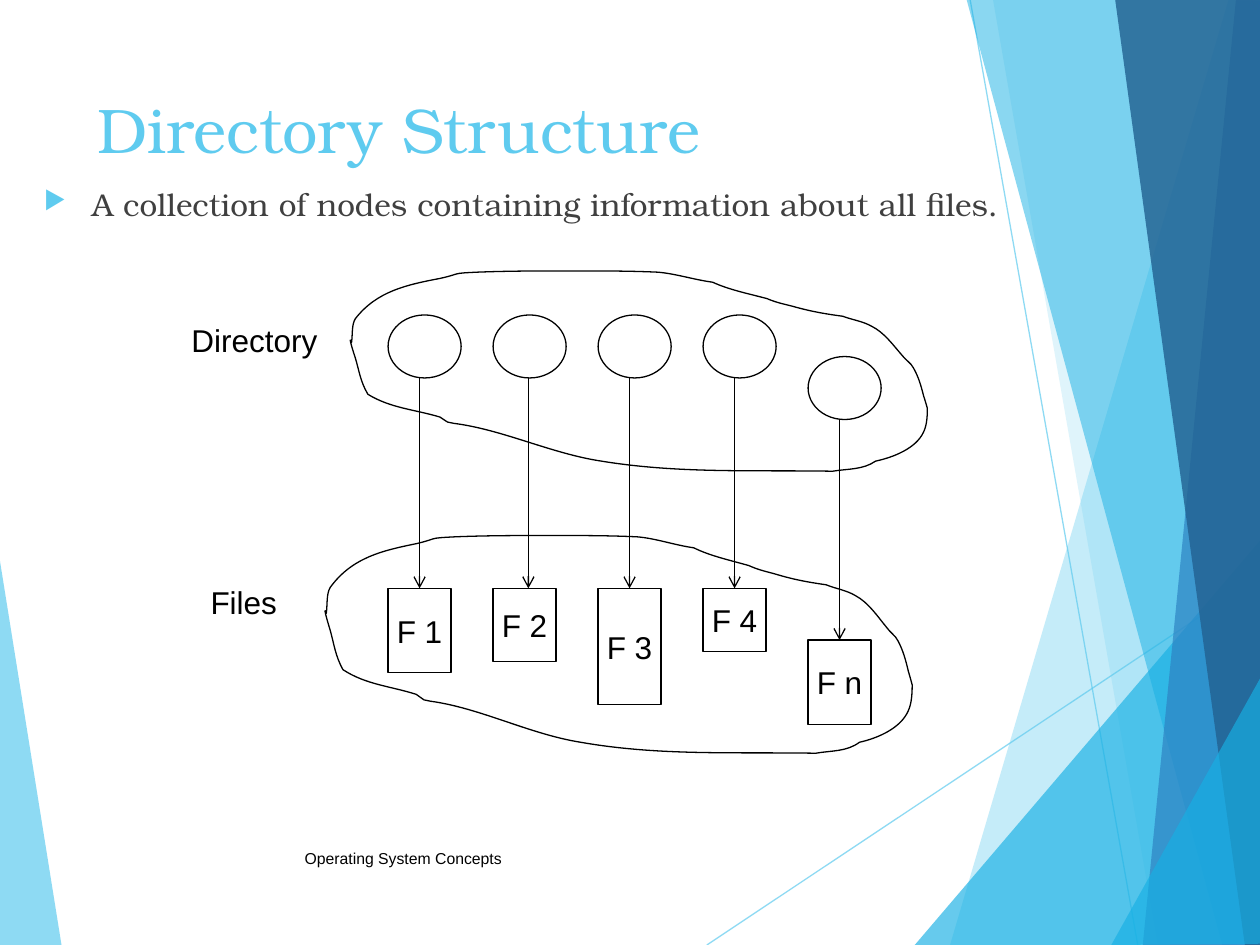
from lxml import etree
from pptx import Presentation
from pptx.dml.color import RGBColor
from pptx.enum.shapes import MSO_CONNECTOR, MSO_SHAPE
from pptx.enum.text import MSO_ANCHOR, PP_ALIGN
from pptx.oxml.ns import qn
from pptx.util import Inches, Pt

LINE = MSO_CONNECTOR.STRAIGHT
OVAL, RECT = MSO_SHAPE.OVAL, MSO_SHAPE.RECTANGLE
TOP, MIDDLE = MSO_ANCHOR.TOP, MSO_ANCHOR.MIDDLE
LEFT, CENTER = PP_ALIGN.LEFT, PP_ALIGN.CENTER
SERIF, SANS = "TeX Gyre Bonum", "Arial"
COLORS = {"sky": "5FCBEF", "cyan": "17B0E4", "blue": "2E83C3", "navy": "236292",
          "gray": "404040", "black": "000000", "white": "FFFFFF"}

# Facets from back to front: colour, opacity in percent, corners
WEDGE = ("sky", 70, [(-0.01, 4.39), (0.49, 7.51), (-0.01, 7.5)])
FACETS = [
    ("sky", 36, [(9.75, 0), (7.54, 7.5), (10.02, 7.51), (10.01, 0.01)]),
    ("sky", 20, [(7.88, -0.01), (9.19, 7.5), (10.01, 7.5), (10.01, -0.01)]),
    ("cyan", 66, [(7.26, 7.5), (10, 4.29), (10.01, 7.5)]),
    ("cyan", 50, [(7.67, -0.01), (9.7, 7.5), (10.01, 7.49), (10.01, -0.01)]),
    ("blue", 70, [(9.81, -0.01), (9.07, 7.5), (10.01, 7.5), (10, -0.01)]),
    ("navy", 82, [(8.85, -0.01), (9.88, 7.5), (10.02, 7.5), (10, -0.01)]),
    ("cyan", 66, [(8.82, 7.5), (10.02, 5.35), (10.02, 7.49)]),
]
RAYS = [(5.61, 7.5, 10.01, 4.57), (7.7, 0, 9.03, 7.5)]

# Cloud outline in a box of 4.57 by 1.61: a start, then three points per curve
CLOUD_W, CLOUD_H = 4.57, 1.61
CLOUD = [
    (0.01, 0.57), (0.02, 0.5), (0.01, 0.43), (0.04, 0.38),
    (0.21, 0.16), (0.45, 0.11), (0.71, 0.06), (0.89, 0.02), (0.79, 0.02), (1.01, 0.01),
    (1.26, 0), (1.51, 0), (1.77, 0), (1.99, 0), (2.21, 0), (2.43, 0.01),
    (2.57, 0.02), (2.72, 0.07), (2.87, 0.09), (3, 0.15), (3.15, 0.18), (3.3, 0.22),
    (3.37, 0.25), (3.42, 0.26), (3.5, 0.28), (3.64, 0.32), (3.75, 0.34), (3.9, 0.36),
    (3.98, 0.39), (4.06, 0.4), (4.13, 0.44), (4.23, 0.49), (4.3, 0.59), (4.37, 0.67),
    (4.4, 0.71), (4.44, 0.73), (4.46, 0.77), (4.5, 0.84), (4.52, 0.91), (4.54, 0.99),
    (4.55, 1.02), (4.57, 1.09), (4.57, 1.09), (4.57, 1.13), (4.57, 1.22), (4.54, 1.28),
    (4.48, 1.41), (4.3, 1.48), (4.16, 1.51), (4.06, 1.58), (3.94, 1.57), (3.82, 1.59),
    (3.18, 1.58), (2.6, 1.61), (1.99, 1.51), (1.59, 1.45), (1.21, 1.26), (0.82, 1.21),
    (0.8, 1.21), (0.79, 1.2), (0.77, 1.2), (0.75, 1.19), (0.73, 1.17), (0.71, 1.16),
    (0.51, 1.1), (0.32, 1.09), (0.14, 0.98), (0.08, 0.88), (0.07, 0.79), (0.04, 0.69),
    (0.04, 0.69), (0, 0.57), (0, 0.55), (0, 0.54), (0.01, 0.56), (0.01, 0.57),
]

# Files: name, drop of the node, drop of the file, file height, arrow shift
FILES = [("F 1", 0, 0, 0.67, 0), ("F 2", 0, 0, 0.58, 0.03), ("F 3", 0, 0, 0.92, 0),
         ("F 4", 0, 0, 0.5, 0), ("F n", 0.33, 0.41, 0.67, 0)]


def rgb(name):
    return RGBColor.from_string(COLORS[name])


def fade(fill, pct):
    color = fill._xPr.find(".//" + qn("a:srgbClr"))
    etree.SubElement(color, qn("a:alpha"), val=str(pct * 1000))


def outline(shapes, pts):
    pts = [(Inches(x), Inches(y)) for x, y in pts]
    build = shapes.build_freeform(*pts[0])
    build.add_line_segments(pts[1:], close=True)
    shape = build.convert_to_shape()
    shape.shadow.inherit = False
    return shape


def bend(shape):
    # Turn each three line segments into one Bézier curve
    legs = list(shape._element.iter(qn("a:lnTo")))
    for i in range(0, len(legs), 3):
        curve = etree.Element(qn("a:cubicBezTo"))
        legs[i].addprevious(curve)
        for leg in legs[i:i + 3]:
            curve.append(leg[0])
            leg.getparent().remove(leg)


def stroke(shape, color="black"):
    shape.line.color.rgb = rgb(color)
    shape.line.width = Pt(0.75)


def link(shapes, x1, y1, x2, y2, color="black"):
    line = shapes.add_connector(LINE, *map(Inches, (x1, y1, x2, y2)))
    etree.SubElement(line._element.spPr, qn("a:effectLst"))
    stroke(line, color)
    return line


def write(shape, text, size, font=SANS, color="black", align=CENTER, anchor=MIDDLE, wrap=False):
    frame = shape.text_frame
    frame.word_wrap = wrap
    frame.vertical_anchor = anchor
    frame.text = text
    para = frame.paragraphs[0]
    para.alignment = align
    para.font.size = Pt(size)
    para.font.name = font
    para.font.color.rgb = rgb(color)
    return para


def note(shapes, box, text, size, **style):
    return write(shapes.add_textbox(*map(Inches, box)), text, size, **style)


def solid(shapes, kind, x, y, w, h):
    shape = shapes.add_shape(kind, *map(Inches, (x, y, w, h)))
    shape.shadow.inherit = False
    shape.fill.solid()
    shape.fill.fore_color.rgb = rgb("white")
    stroke(shape)
    return shape


def facet(shapes, color, pct, pts):
    shape = outline(shapes, pts)
    shape.fill.solid()
    shape.fill.fore_color.rgb = rgb(color)
    fade(shape.fill, pct)
    shape.line.fill.background()


def decor(shapes):
    facet(shapes, *WEDGE)
    for ray in RAYS:
        fade(link(shapes, *ray, color="sky").line.fill, 70)
    for item in FACETS:
        facet(shapes, *item)


def heading(title, x, y, w, h):
    title.left, title.top, title.width, title.height = map(Inches, (x, y, w, h))
    write(title, "Directory Structure", 36, SERIF, "sky", LEFT, TOP, True)


def bullet(shapes, *box):
    para = note(shapes, box, "A collection of nodes containing information about all files.",
                18, font=SERIF, color="gray", align=LEFT, anchor=TOP, wrap=True)
    para.space_before = Pt(10)
    props = para._p.get_or_add_pPr()
    props.set("marL", str(Inches(0.38)))
    props.set("indent", str(-Inches(0.38)))
    tint = etree.SubElement(props, qn("a:buClr"))
    etree.SubElement(tint, qn("a:srgbClr"), val=COLORS["sky"])
    etree.SubElement(props, qn("a:buSzPct"), val="80000")
    etree.SubElement(props, qn("a:buFont"), typeface="OpenSymbol")
    etree.SubElement(props, qn("a:buChar"), char="▶")


def cloud(shapes, x, y, w, h):
    shape = outline(shapes, [(x + px * w / CLOUD_W, y + py * h / CLOUD_H) for px, py in CLOUD])
    bend(shape)
    shape.fill.background()
    stroke(shape)


def diagram(shapes, x, y):
    # Nodes, files and the arrows between them
    for i, (name, sink, drop, tall, shift) in enumerate(FILES):
        left, top, base = x + i * 5 / 6, y + sink, y + 2.17 + drop
        solid(shapes, OVAL, left, top, 0.58, 0.5)
        file = solid(shapes, RECT, left, base, 0.5, tall)
        write(file, name, 18)
        mid = left + 0.25 + shift
        arrow = link(shapes, mid, top + 0.5, mid, base)
        if not shift:
            arrow.end_connect(file, 0)
        etree.SubElement(arrow.line._get_or_add_ln(), qn("a:tailEnd"), type="arrow")
    # Clouds and their labels
    cloud(shapes, x - 0.3, y - 0.35, 4.58, 1.61)
    cloud(shapes, x - 0.5, y + 1.75, 4.66, 1.75)
    note(shapes, (x - 1.66, y, 1.2, 0.4), "Directory", 18)
    note(shapes, (x - 1.51, y + 2.08, 0.73, 0.4), "Files", 18)


def main():
    deck = Presentation()
    deck.slide_width, deck.slide_height = Inches(10), Inches(7.5)
    slide = deck.slides.add_slide(deck.slide_layouts[5])
    shapes = slide.shapes
    decor(shapes)
    heading(shapes.title, 0.67, 0.67, 6.94, 1.44)
    bullet(shapes, 0.25, 1.42, 8.52, 0.83)
    note(shapes, (0.67, 6.61, 5.06, 0.4), "Operating System Concepts", 9, wrap=True)
    diagram(shapes, 3.08, 2.5)
    deck.save("out.pptx")


if __name__ == "__main__":
    main()
